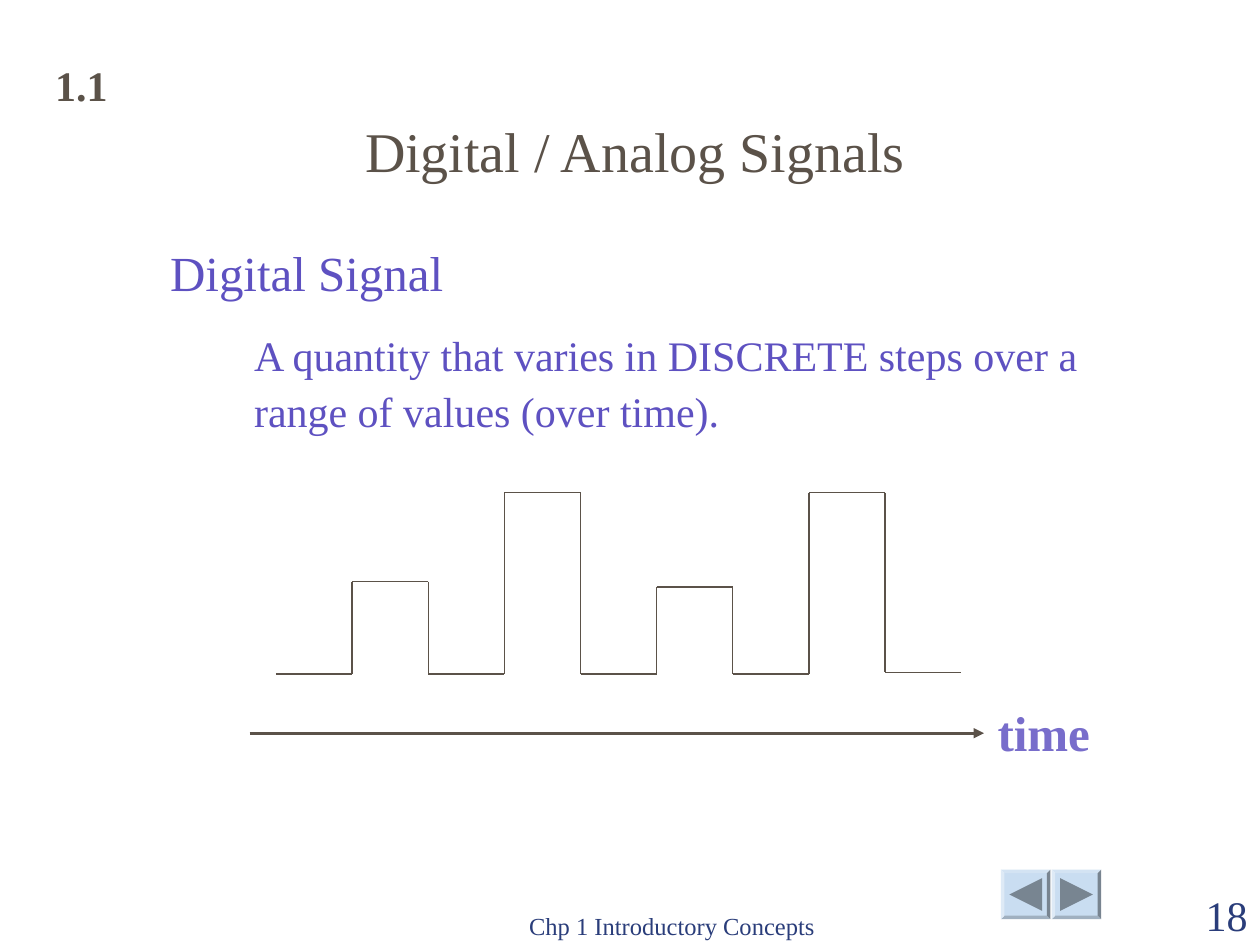
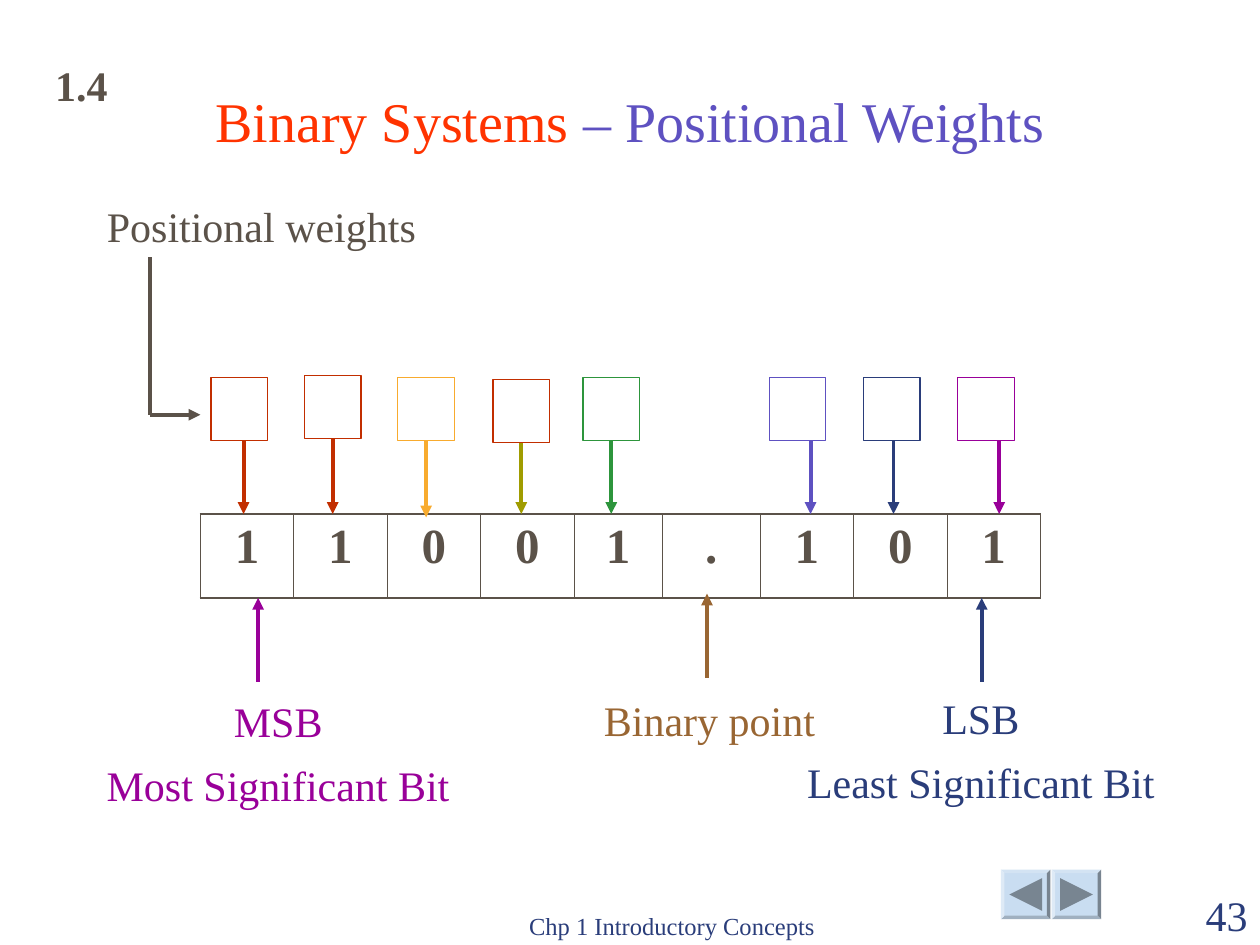
from collections import namedtuple
from dataclasses import dataclass
from itertools import accumulate

from lxml import etree
from pptx import Presentation
from pptx.dml.color import RGBColor
from pptx.enum.shapes import MSO_CONNECTOR, MSO_SHAPE
from pptx.enum.text import MSO_ANCHOR, MSO_AUTO_SIZE, PP_ALIGN
from pptx.oxml.ns import qn
from pptx.util import Pt

STRAIGHT = MSO_CONNECTOR.STRAIGHT
RECTANGLE, BEVEL = MSO_SHAPE.RECTANGLE, MSO_SHAPE.BEVEL
LEFT, CENTER, RIGHT = PP_ALIGN.LEFT, PP_ALIGN.CENTER, PP_ALIGN.RIGHT
TOP, BOTTOM = MSO_ANCHOR.TOP, MSO_ANCHOR.BOTTOM
NO_FIT = MSO_AUTO_SIZE.NONE
BOTTOM_SIDE = 2

Box = namedtuple("Box", "left top width height")
Bit = namedtuple("Bit", "column inset top shift tip box_color arrow_color")


@dataclass(frozen=True)
class Theme:
    font: str = "Times New Roman"
    brown: str = "5B5249"
    violet: str = "5E51C1"
    lilac: str = "786DCB"
    navy: str = "2A3D7A"
    scarlet: str = "FF3300"
    red: str = "C22E00"
    amber: str = "F8AB2E"
    olive: str = "A09C00"
    green: str = "2D953C"
    purple: str = "990099"
    tan: str = "996633"
    button: str = "C9DDF1"
    button_arrow: str = "788591"
    title: int = 32
    heading: int = 28
    text: int = 24
    footer: int = 14
    thin: float = 0.75
    axis: float = 1.5
    thick: float = 2.25


THEME = Theme()


def color(code):
    return RGBColor.from_string(code)


def points(values):
    return [Pt(value) for value in values]


def apply_format(target, values):
    for name, value in values.items():
        setattr(target, name, value)


def add_span(para, text, size, code, bold=False):
    span = para.add_run()
    span.text = text
    apply_format(span.font, {"name": THEME.font, "size": Pt(size), "bold": bold})
    span.font.color.rgb = color(code)


def format_frame(frame, anchor=TOP, wrap=True):
    apply_format(frame, {
        "auto_size": NO_FIT, "word_wrap": wrap, "vertical_anchor": anchor,
        "margin_left": Pt(7.2), "margin_right": Pt(7.2),
        "margin_top": Pt(3.6), "margin_bottom": Pt(3.6)})


def add_label(page, box, lines, size, code, bold=False, align=LEFT, anchor=TOP,
              wrap=False, spacing=None):
    frame = page.shapes.add_textbox(*points(box)).text_frame
    format_frame(frame, anchor, wrap)
    for index, line in enumerate(lines):
        para = frame.paragraphs[0] if index == 0 else frame.add_paragraph()
        values = {"alignment": align}
        if spacing:
            values["line_spacing"] = spacing
        if index:
            values["space_before"] = Pt(15)
        apply_format(para, values)
        add_span(para, line, size, code, bold)


def add_line(page, start, end, code, weight, arrow=False):
    line = page.shapes.add_connector(STRAIGHT, *points((*start, *end)))
    line.line.color.rgb = color(code)
    line.line.width = Pt(weight)
    if arrow:
        etree.SubElement(line.line._get_or_add_ln(), qn("a:tailEnd"), type="triangle")
    etree.SubElement(line._element.spPr, qn("a:effectLst"))
    return line


def move(shape, box):
    apply_format(shape, dict(zip(Box._fields, points(box))))


def add_title(page, box, spans, align):
    title = page.shapes.title
    move(title, box)
    format_frame(title.text_frame, BOTTOM)
    para = title.text_frame.paragraphs[0]
    para.alignment = align
    for text, code in spans:
        add_span(para, text, THEME.title, code)


def add_button(page, box, points_left):
    button = page.shapes.add_shape(BEVEL, *points(box))
    button.adjustments[0] = 0.07
    tip, base = (0.17, 0.83) if points_left else (0.83, 0.17)
    corners = [(box.left + box.width * x, box.top + box.height * y)
               for x, y in ((tip, 0.5), (base, 0.17), (base, 0.83))]
    builder = page.shapes.build_freeform(*points(corners[0]))
    builder.add_line_segments([points(corner) for corner in corners[1:]])
    arrow = builder.convert_to_shape()
    for shape, code in ((button, THEME.button), (arrow, THEME.button_arrow)):
        shape.shadow.inherit = False
        shape.fill.solid()
        shape.fill.fore_color.rgb = color(code)
        shape.line.fill.background()


def add_frame_parts(page, section, number):
    for index in range(2):
        add_button(page, Box(572 + 29 * index, 497, 28.3, 28.3), index == 0)
    add_label(page, Box(270, 504.7, 228, 36), ["Chp 1 Introductory Concepts"],
              THEME.footer, THEME.navy, align=CENTER, anchor=BOTTOM, wrap=True)
    add_label(page, Box(648, 504.7, 72, 36), [number], THEME.text, THEME.navy,
              align=RIGHT, anchor=BOTTOM, wrap=True)
    add_label(page, Box(24.4, 30.5, 44, 36), [section], THEME.text, THEME.brown, bold=True)


def add_definition(page, box, term, meaning):
    body = page.placeholders[1]
    move(body, box)
    frame = body.text_frame
    format_frame(frame)
    rows = ((frame.paragraphs[0], term, THEME.heading, 0, 0),
            (frame.add_paragraph(), meaning, THEME.text, 48, 13.3))
    for para, text, size, margin, gap in rows:
        settings = para._p.get_or_add_pPr()
        settings.set("marL", str(Pt(margin)))
        settings.set("indent", "0")
        etree.SubElement(settings, qn("a:buNone"))
        apply_format(para, {"alignment": LEFT, "line_spacing": 1.1, "space_before": Pt(gap)})
        add_span(para, text, size, THEME.violet)


def add_signal(page, box, levels):
    step = box.width / len(levels)
    base = box.top + box.height
    corners = []
    for index, level in enumerate(levels):
        y = base - box.height * level
        corners += [(box.left + step * (index + side), y) for side in (0, 1)]
    for start, end in zip(corners, corners[1:]):
        add_line(page, start, end, THEME.brown, THEME.thin)


def add_time_axis(page, box):
    y = box.top + box.height / 2
    end = box.left + box.width
    add_line(page, (box.left, y), (end, y), THEME.brown, THEME.axis, arrow=True)
    add_label(page, Box(end + 0.7, box.top, 67, box.height), ["time"],
              THEME.heading, THEME.lilac, bold=True)


def set_borders(cell, weights):
    settings = cell._tc.get_or_add_tcPr()
    for index, (side, weight) in enumerate(weights.items()):
        line = etree.Element(qn(f"a:{side}"), w=str(Pt(weight)))
        fill = etree.SubElement(line, qn("a:solidFill"))
        etree.SubElement(fill, qn("a:srgbClr"), val=THEME.brown)
        settings.insert(index, line)


def add_bit_table(page, box, digits, widths):
    table = page.shapes.add_table(1, len(digits), *points(box)).table
    apply_format(table, {"first_row": False, "horz_banding": False})
    table.rows[0].height = Pt(box.height)
    last = len(digits) - 1
    for index, (digit, width) in enumerate(zip(digits, widths)):
        table.columns[index].width = Pt(width)
        cell = table.cell(0, index)
        cell.fill.background()
        set_borders(cell, {"lnL": 0.45 if index else 1.08,
                           "lnR": 0.45 if index < last else 1.08,
                           "lnT": 1.08, "lnB": 1.08})
        para = cell.text_frame.paragraphs[0]
        para.alignment = CENTER
        add_span(para, digit, THEME.heading, THEME.brown, bold=True)


def add_weight_boxes(page, table_box, widths, bits):
    edges = list(accumulate(widths, initial=table_box.left))
    for bit in bits:
        box = Box(edges[bit.column] + bit.inset, table_box.top - 77.8 + bit.top, 32.4, 36)
        square = page.shapes.add_shape(RECTANGLE, *points(box))
        square.shadow.inherit = False
        square.fill.background()
        square.line.color.rgb = color(bit.box_color)
        square.line.width = Pt(THEME.thin)
        x = box.left + box.width / 2 + bit.shift
        arrow = add_line(page, (x, box.top + box.height), (x, table_box.top + bit.tip),
                         bit.arrow_color, THEME.thick, arrow=True)
        if bit.shift == 0:
            arrow.begin_connect(square, BOTTOM_SIDE)


def add_weights_pointer(page, box):
    add_label(page, Box(box.left, box.top, 191, 36), ["Positional weights"],
              THEME.text, THEME.brown)
    x, base = box.left + 32, box.top + box.height
    add_line(page, (x, box.top + 36), (x, base), THEME.brown, THEME.thick)
    add_line(page, (x, base), (box.left + box.width, base), THEME.brown, THEME.thick, arrow=True)


def add_callout(page, box, lines, code, tip, spacing=None):
    x, y = tip
    add_line(page, (x, y + 48), tip, code, THEME.thick, arrow=True)
    add_label(page, box, lines, THEME.text, code, spacing=spacing,
              align=CENTER if spacing else LEFT)


def build_signal_page(deck):
    page = deck.slides.add_slide(deck.slide_layouts[1])
    add_frame_parts(page, "1.1", "18")
    add_title(page, Box(48, 60.5, 630, 48), [("Digital / Analog Signals", THEME.brown)], CENTER)
    add_definition(page, Box(90, 131.8, 540, 126.7), "Digital Signal",
                   "A quantity that varies in DISCRETE steps over a range of values (over time).")
    add_time_axis(page, Box(142.6, 398, 419.7, 42))
    add_signal(page, Box(157.7, 281.5, 391.6, 103.7), [0, 0.51, 0, 1, 0, 0.48, 0, 1, 0.01])


def build_weights_page(deck):
    page = deck.slides.add_slide(deck.slide_layouts[5])
    add_frame_parts(page, "1.4", "43")
    add_title(page, Box(116, 37.5, 521, 54),
              [("Binary Systems", THEME.scarlet), (" – Positional Weights", THEME.violet)], LEFT)
    table_box = Box(114.5, 293.7, 480.2, 48)
    widths = [53.4] * 4 + [50.4, 56] + [53.4] * 3
    bits = [
        Bit(0, 6, 0, 2.5, 0, THEME.red, THEME.red),
        Bit(1, 6, -1.2, 0, 0, THEME.red, THEME.red),
        Bit(2, 6, 0, 0, 2, THEME.amber, THEME.amber),
        Bit(3, 7, 1, 0, 0, THEME.red, THEME.olive),
        Bit(4, 5, 0, 0, 0, THEME.green, THEME.green),
        Bit(6, 5, 0, 7.5, 0, THEME.violet, THEME.violet),
        Bit(7, 5.5, 0, 1, 0, THEME.navy, THEME.navy),
        Bit(8, 6, 0, 7.5, 0, THEME.purple, THEME.purple),
    ]
    add_bit_table(page, table_box, "11001.101", widths)
    add_weight_boxes(page, table_box, widths, bits)
    base = table_box.top + table_box.height
    add_callout(page, Box(338, 393.3, 135, 36), ["Binary point"], THEME.tan, (404, base - 2.5))
    add_callout(page, Box(54, 400.3, 210, 65.5), ["MSB", "Most Significant Bit"],
                THEME.purple, (147.5, base), 0.75)
    add_callout(page, Box(454, 398.6, 213, 65.5), ["LSB", "Least Significant Bit"],
                THEME.navy, (561, base), 0.75)
    add_weights_pointer(page, Box(54, 111, 60.5, 126))


def main():
    deck = Presentation()
    deck.slide_width, deck.slide_height = Pt(720), Pt(540)
    build_signal_page(deck)
    build_weights_page(deck)
    deck.save("out.pptx")


if __name__ == "__main__":
    main()
